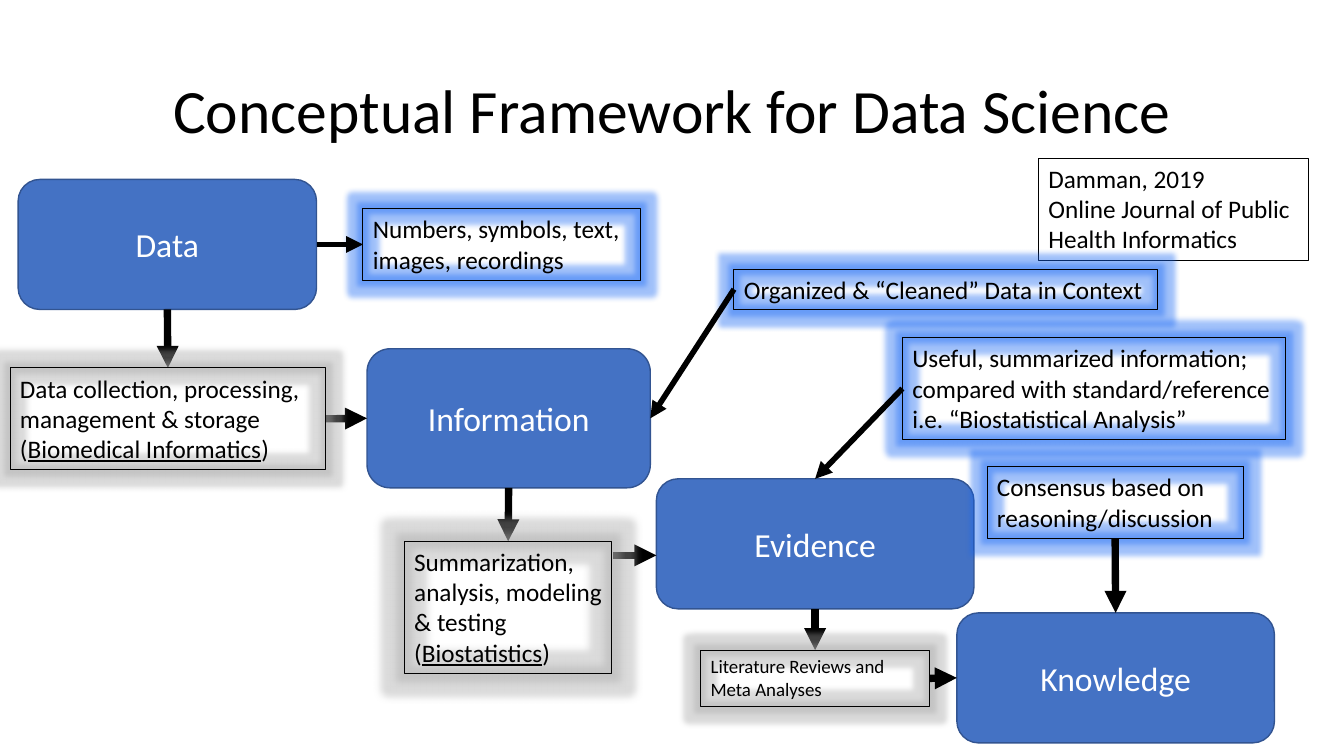
from dataclasses import dataclass

from lxml.etree import SubElement
from pptx import Presentation
from pptx.dml.color import RGBColor
from pptx.enum.shapes import MSO_CONNECTOR as CONN, MSO_SHAPE as SHAPE
from pptx.enum.text import MSO_ANCHOR as ANCHOR, MSO_AUTO_SIZE as AUTO, PP_ALIGN as ALIGN
from pptx.oxml.ns import qn
from pptx.util import Inches, Pt

TOP, LEFT, BOTTOM, RIGHT = range(4)


@dataclass(frozen=True)
class Theme:
    font: str = "Calibri"
    ink: str = "000000"
    paper: str = "FFFFFF"
    stage: str = "4472C4"
    stage_edge: str = "325491"
    meaning_glow: str = "4472C4"
    method_glow: str = "A5A5A5"
    title: float = 44
    label: float = 24
    note: float = 18
    small: float = 13.5
    thick: float = 5.25
    medium: float = 4


class Diagram:
    def __init__(self, s, theme):
        self.s = s
        self.theme = theme

    def style_run(self, r, size, color):
        r.font.name = self.theme.font
        r.font.size = Pt(size)
        r.font.color.rgb = RGBColor.from_string(color)

    def title(self, text, box):
        sp = self.s.shapes.title
        sp.left, sp.top, sp.width, sp.height = map(Inches, box)
        tf = sp.text_frame
        tf.text = text
        tf.word_wrap = True
        tf.vertical_anchor = ANCHOR.MIDDLE
        p = tf.paragraphs[0]
        p.alignment = ALIGN.CENTER
        p.line_spacing = 0.9
        self.style_run(p.runs[0], self.theme.title, self.theme.ink)

    def stage(self, text, box):
        t = self.theme
        sp = self.s.shapes.add_shape(SHAPE.ROUNDED_RECTANGLE, *map(Inches, box))
        sp.fill.solid()
        sp.fill.fore_color.rgb = RGBColor.from_string(t.stage)
        sp.line.color.rgb = RGBColor.from_string(t.stage_edge)
        sp.line.width = Pt(1)
        sp.shadow.inherit = False
        tf = sp.text_frame
        tf.text = text
        tf.vertical_anchor = ANCHOR.MIDDLE
        p = tf.paragraphs[0]
        p.alignment = ALIGN.CENTER
        self.style_run(p.runs[0], t.label, t.paper)
        return sp

    def note(self, text, box, glow=None, radius=8, size=None, wrap=True, term=None):
        t = self.theme
        sp = self.s.shapes.add_textbox(*map(Inches, box))
        sp.line.color.rgb = RGBColor.from_string(t.ink)
        sp.line.width = Pt(0.75)
        tf = sp.text_frame
        tf.text = text
        tf.word_wrap = wrap
        tf.auto_size = AUTO.SHAPE_TO_FIT_TEXT
        if term:
            p = tf.paragraphs[0]
            p.add_run().text = term
            p.runs[-1].font.underline = True
            p.add_run().text = ")"
        for p in tf.paragraphs:
            for r in p.runs:
                self.style_run(r, size or t.note, t.ink)
        if glow:
            self.glow(sp, glow, radius)
        return sp

    def glow(self, sp, color, radius):
        sp.shadow.inherit = False
        effects = sp.element.spPr.find(qn("a:effectLst"))
        glow = SubElement(effects, qn("a:glow"), rad=str(Pt(radius)))
        clr = SubElement(glow, qn("a:srgbClr"), val=color)
        SubElement(clr, qn("a:satMod"), val="175000")
        SubElement(clr, qn("a:alpha"), val="40000")

    def arrow(self, start, end, width=None):
        t = self.theme
        c = self.s.shapes.add_connector(CONN.STRAIGHT, *map(Inches, start + end))
        c.line.color.rgb = RGBColor.from_string(t.ink)
        c.line.width = Pt(width or t.thick)
        SubElement(c.line._get_or_add_ln(), qn("a:tailEnd"), type="triangle")
        SubElement(c.element.spPr, qn("a:effectLst"))
        return c

    def link(self, source, out_side, target, in_side, width=None):
        c = self.arrow((0, 0), (0, 0), width)
        c.begin_connect(source, out_side)
        c.end_connect(target, in_side)

    def to_front(self, sp):
        sp.element.getparent().append(sp.element)


def main():
    prs = Presentation()
    prs.slide_width, prs.slide_height = Inches(13.33), Inches(7.5)
    t = Theme()
    d = Diagram(prs.slides.add_slide(prs.slide_layouts[5]), t)

    d.title("Conceptual Framework for Data Science", (0.92, 0.4, 11.5, 1.45))
    data = d.stage("Data", (0.18, 1.78, 2.96, 1.29))
    information = d.stage("Information", (3.64, 3.46, 2.81, 1.38))
    evidence = d.stage("Evidence", (6.51, 4.75, 3.15, 1.29))
    knowledge = d.stage("Knowledge", (9.49, 6.08, 3.15, 1.29))

    d.note("Damman, 2019\nOnline Journal of Public\nHealth Informatics",
           (10.3, 1.57, 2.68, 1.01), wrap=False)

    numbers = d.note("Numbers, symbols, text, images, recordings",
                     (3.6, 2.07, 2.75, 0.71), t.meaning_glow)
    organized = d.note("Organized & “Cleaned” Data in Context",
                       (7.28, 2.67, 4.2, 0.4), t.meaning_glow, wrap=False)
    useful = d.note("Useful, summarized information; compared with standard/reference\n"
                    "i.e. “Biostatistical Analysis”",
                    (8.95, 3.35, 3.8, 1.01), t.meaning_glow)
    consensus = d.note("Consensus based on reasoning/discussion",
                       (9.79, 4.63, 2.54, 0.71), t.meaning_glow)

    collection = d.note("Data collection, processing, management & storage (",
                        (0.1, 3.65, 3.13, 1.01), t.method_glow,
                        term="Biomedical Informatics")
    summary = d.note("Summarization, analysis, modeling & testing (",
                     (4.01, 5.37, 2.06, 1.31), t.method_glow, radius=11,
                     term="Biostatistics")
    reviews = d.note("Literature Reviews and Meta Analyses",
                     (6.95, 6.45, 2.27, 0.56), t.method_glow, size=t.small)

    for source, method in ((data, collection), (information, summary), (evidence, reviews)):
        d.link(source, BOTTOM, method, TOP)
    d.link(collection, RIGHT, information, LEFT)
    d.arrow((6.08, 5.51), (6.51, 5.51))
    d.link(consensus, BOTTOM, knowledge, TOP)
    d.link(data, RIGHT, numbers, LEFT, t.medium)
    d.link(organized, LEFT, information, RIGHT, t.medium)
    d.link(useful, LEFT, evidence, TOP, t.medium)

    for method in (collection, summary, reviews):
        d.to_front(method)
    d.link(reviews, RIGHT, knowledge, LEFT)

    prs.save("out.pptx")


if __name__ == "__main__":
    main()
